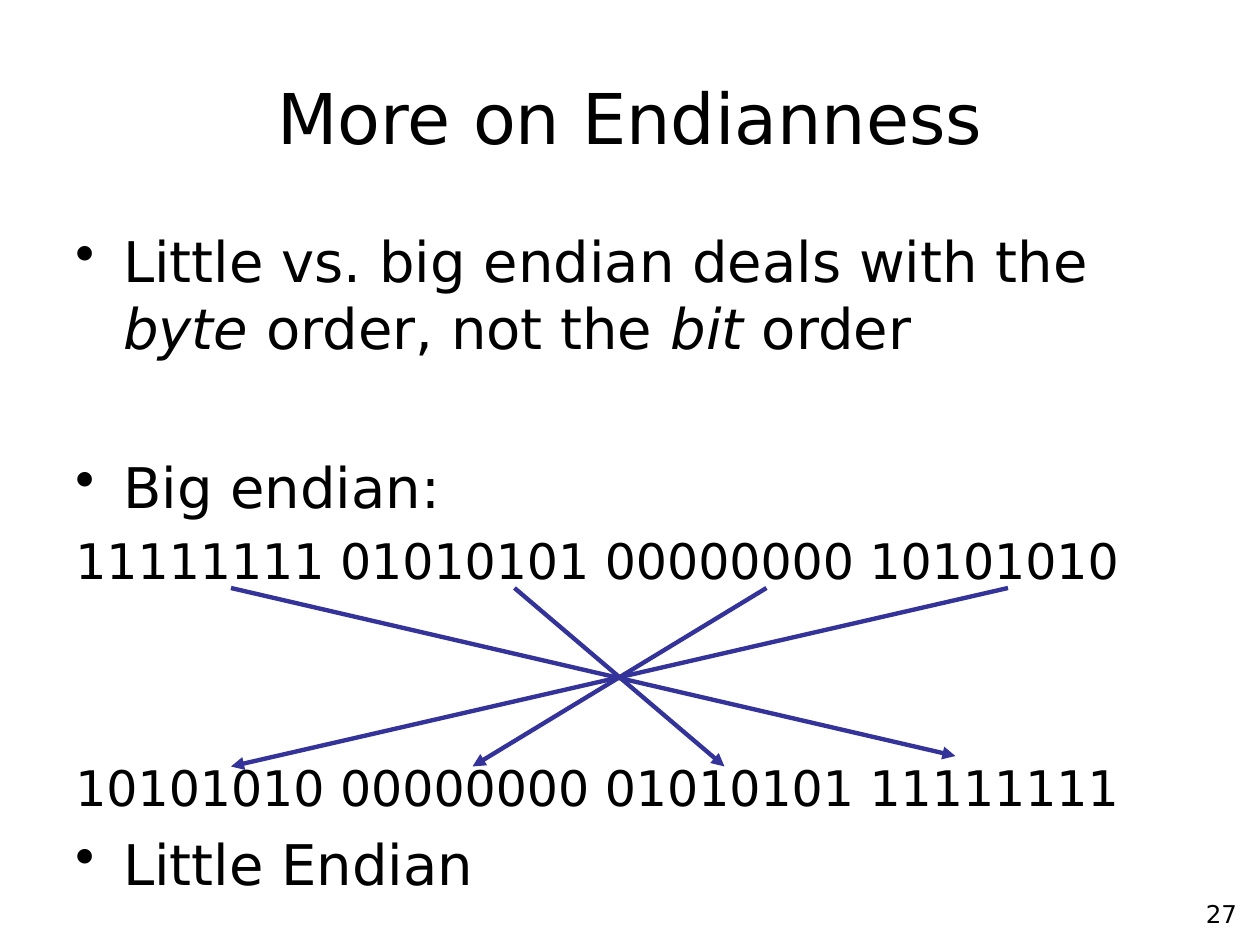
from dataclasses import dataclass

from lxml import etree
from pptx import Presentation
from pptx.dml.color import RGBColor
from pptx.enum.shapes import MSO_CONNECTOR
from pptx.enum.text import MSO_ANCHOR, PP_ALIGN
from pptx.oxml.ns import qn
from pptx.util import Inches, Pt

LEFT, CENTER, RIGHT = PP_ALIGN.LEFT, PP_ALIGN.CENTER, PP_ALIGN.RIGHT
TOP, MIDDLE = MSO_ANCHOR.TOP, MSO_ANCHOR.MIDDLE
STRAIGHT = MSO_CONNECTOR.STRAIGHT

COLORS = {"text": "000000", "arrow": "333399"}
FONT = "DejaVu Sans"
HEADING_SIZE, POINT_SIZE, BITS_SIZE, NUMBER_SIZE = 40, 32, 28, 14
HANGING = Inches(0.38)

# The slide is a grid of 120 columns by 90 rows.
COLUMNS, ROWS = 120, 90
CELL = Inches(10) // COLUMNS


@dataclass(frozen=True)
class Line:
    """One paragraph; its runs alternate between upright and italic."""
    runs: tuple[str, ...]
    size: int
    before: float = 0
    bullet: bool = False
    hanging: bool = False


@dataclass(frozen=True)
class ByteMove:
    """A byte's way from the upper row of bits to the lower one."""
    start_column: int
    end_column: int
    end_row: int = 73


BYTES = ("11111111", "01010101", "00000000", "10101010")
BODY = (
    Line(("Little vs. big endian deals with the ", "byte", " order, not the ",
          "bit", " order"), POINT_SIZE, 3, bullet=True, hanging=True),
    Line(("Big endian:",), POINT_SIZE, 52, bullet=True, hanging=True),
    Line((" ".join(BYTES),), BITS_SIZE, 6.5, hanging=True),
    Line((" ".join(reversed(BYTES)),), BITS_SIZE, 96, hanging=True),
    Line(("Little Endian",), POINT_SIZE, 7.5, bullet=True, hanging=True),
)
MOVE_START_ROW = 56
MOVES = (ByteMove(22, 91, 72), ByteMove(49, 69), ByteMove(73, 45), ByteMove(96, 22))


def add_text(slide, lines: tuple[Line, ...], *, column: float, row: float,
             width: float, height: float, align=LEFT, anchor=TOP) -> None:
    box = slide.shapes.add_textbox(
        *(round(cells * CELL) for cells in (column, row, width, height)))
    frame = box.text_frame
    frame.word_wrap = True
    frame.vertical_anchor = anchor
    for index, line in enumerate(lines):
        paragraph = frame.add_paragraph() if index else frame.paragraphs[0]
        paragraph.alignment = align
        paragraph.space_before = Pt(line.before)
        properties = paragraph._p.get_or_add_pPr()
        if line.hanging:
            properties.set("marL", str(HANGING))
            properties.set("indent", str(-HANGING))
        if line.bullet:
            etree.SubElement(properties, qn("a:buChar"), char="•")
        else:
            etree.SubElement(properties, qn("a:buNone"))
        for position, words in enumerate(line.runs):
            run = paragraph.add_run()
            run.text = words
            run.font.name = FONT
            run.font.size = Pt(line.size)
            run.font.italic = position % 2 == 1
            run.font.color.rgb = RGBColor.from_string(COLORS["text"])


def add_arrow(slide, move: ByteMove) -> None:
    arrow = slide.shapes.add_connector(
        STRAIGHT, move.start_column * CELL, MOVE_START_ROW * CELL,
        move.end_column * CELL, move.end_row * CELL)
    arrow.line.color.rgb = RGBColor.from_string(COLORS["arrow"])
    arrow.line.width = Pt(2.5)
    etree.SubElement(arrow.line._get_or_add_ln(), qn("a:tailEnd"), type="triangle")
    etree.SubElement(arrow._element.spPr, qn("a:effectLst"))


def main() -> None:
    presentation = Presentation()
    presentation.slide_width = COLUMNS * CELL
    presentation.slide_height = ROWS * CELL
    slide = presentation.slides.add_slide(presentation.slide_layouts[6])

    add_text(slide, (Line(("27",), NUMBER_SIZE),), column=94, row=85,
             width=25, height=4.5, align=RIGHT)
    add_text(slide, BODY, column=6, row=21, width=108, height=67)
    add_text(slide, (Line(("More on Endianness",), HEADING_SIZE),), column=6,
             row=3.6, width=108, height=15, align=CENTER, anchor=MIDDLE)
    for move in MOVES:
        add_arrow(slide, move)

    presentation.save("out.pptx")


if __name__ == "__main__":
    main()
